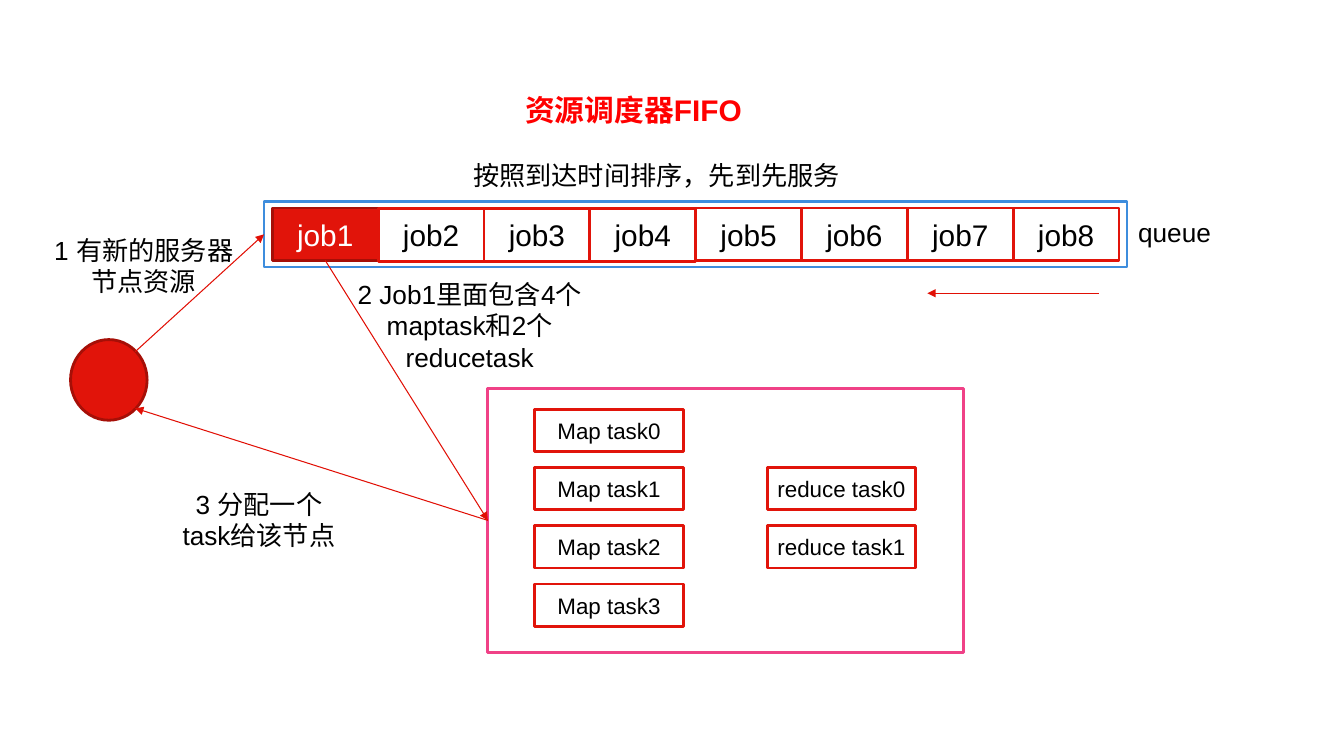
from lxml import etree
from pptx import Presentation
from pptx.dml.color import RGBColor
from pptx.enum.shapes import MSO_CONNECTOR as Link, MSO_SHAPE as Kind
from pptx.enum.text import MSO_ANCHOR as Anchor, MSO_AUTO_SIZE as Fit, PP_ALIGN as Align
from pptx.oxml.ns import qn
from pptx.util import Pt

RED = RGBColor(0xE1, 0x14, 0x0A)
DARK = RGBColor(0xA6, 0x0F, 0x07)
ARROW = RGBColor(0xE1, 0x0F, 0x05)
TITLE = RGBColor(0xFF, 0, 0)
BLUE = RGBColor(0x3E, 0x8D, 0xDD)
PINK = RGBColor(0xF0, 0x41, 0x87)
WHITE = RGBColor(0xFF, 0xFF, 0xFF)
BLACK = RGBColor(0, 0, 0)


class Board:
    font = "Arial"
    big, mid, small = 21.3, 18.7, 16

    def __init__(self, slide):
        self.slide = slide

    def put(self, frame, lines, size, color, align=Align.CENTER, bold=False):
        for i, line in enumerate(lines):
            para = frame.add_paragraph() if i else frame.paragraphs[0]
            para.alignment = align
            run = para.add_run()
            run.text = line
            run.font.name, run.font.size = self.font, Pt(size)
            run.font.bold, run.font.color.rgb = bold, color

    def title(self, text, x, y, w, h):
        shape = self.slide.shapes.title
        shape.left, shape.top, shape.width, shape.height = map(Pt, (x, y, w, h))
        frame = shape.text_frame
        frame.auto_size, frame.word_wrap = Fit.NONE, True
        frame.vertical_anchor = Anchor.TOP
        self.put(frame, [text], self.big, TITLE, Align.LEFT, True)

    def label(self, lines, x, y, w, h, wrap=True):
        frame = self.slide.shapes.add_textbox(*map(Pt, (x, y, w, h))).text_frame
        frame.word_wrap = wrap
        self.put(frame, lines, self.mid, BLACK)

    def box(self, x, y, w, h, fill=WHITE, line=RED, text="", size=big,
            color=BLACK, kind=Kind.RECTANGLE):
        shape = self.slide.shapes.add_shape(kind, *map(Pt, (x, y, w, h)))
        shape.shadow.inherit = False
        if fill is None:
            shape.fill.background()
        else:
            shape.fill.solid()
            shape.fill.fore_color.rgb = fill
        shape.line.color.rgb, shape.line.width = line, Pt(2)
        if text:
            frame = shape.text_frame
            frame.margin_left = frame.margin_right = 0
            frame.vertical_anchor = Anchor.MIDDLE
            self.put(frame, [text], size, color)
        return shape

    def arrow(self, x1, y1, x2, y2, start=None, end=None):
        """start and end are (shape, side) pairs to join."""
        line = self.slide.shapes.add_connector(
            Link.STRAIGHT, *map(Pt, (x1, y1, x2, y2)))
        line.line.color.rgb, line.line.width = ARROW, Pt(0.75)
        if start:
            line.begin_connect(*start)
        if end:
            line.end_connect(*end)
        props = line._element.spPr
        etree.SubElement(props.get_or_add_ln(), qn("a:tailEnd"), type="triangle")
        etree.SubElement(props, qn("a:effectLst"))


def main():
    deck = Presentation()
    deck.slide_width, deck.slide_height = Pt(960), Pt(540)
    board = Board(deck.slides.add_slide(deck.slide_layouts[5]))

    # Heading
    board.title("资源调度器FIFO", 368, 62, 171.4, 33)
    board.label(["按照到达时间排序，先到先服务"], 330, 110, 278, 29.5, False)

    # Job queue
    jobs = []
    for i in range(8):
        first = i == 0
        drop = 0.6 if 1 <= i <= 3 else 0
        jobs.append(board.box(
            194.5 + i * 75.6, 148.5 + drop, 75.6, 37.5, RED if first else WHITE,
            DARK if first else RED, f"job{i + 1}", color=WHITE if first else BLACK))
    queue = board.box(188.6, 144, 616.5, 46.8, None, BLUE)
    board.label(["queue"], 805.5, 151.2, 67, 29.5, False)

    # Tasks of the first job
    tasks = board.box(348.5, 277.5, 340, 188.5, WHITE, PINK)
    for name, x, first, count in (("Map", 382, 0, 4), ("reduce", 548, 1, 2)):
        for i in range(count):
            board.box(x, 292.4 + (first + i) * 41.6, 106, 30.2,
                      text=f"{name} task{i}", size=board.small)

    # Server node
    board.box(50.4, 242.6, 54.7, 57.6, RED, DARK, kind=Kind.OVAL)

    # Arrows
    board.arrow(96.5, 251.3, 188.6, 167.4, end=(queue, 1))
    board.arrow(232.3, 186, 348.5, 371.8, (jobs[0], 2), (tasks, 1))
    board.arrow(348.5, 371.8, 96.5, 291.6, start=(tasks, 1))
    board.arrow(785, 209.5, 662.4, 209.5)

    # Steps
    board.label(["1 有新的服务器", "节点资源"], 31, 163.5, 143.3, 52.6)
    board.label(["2 Job1里面包含4个maptask和2个reducetask"], 241.2, 195.1, 188.6, 75)
    board.label(["3 分配一个task给该节点"], 119.5, 345, 131, 52.6)

    deck.save("out.pptx")


if __name__ == "__main__":
    main()
